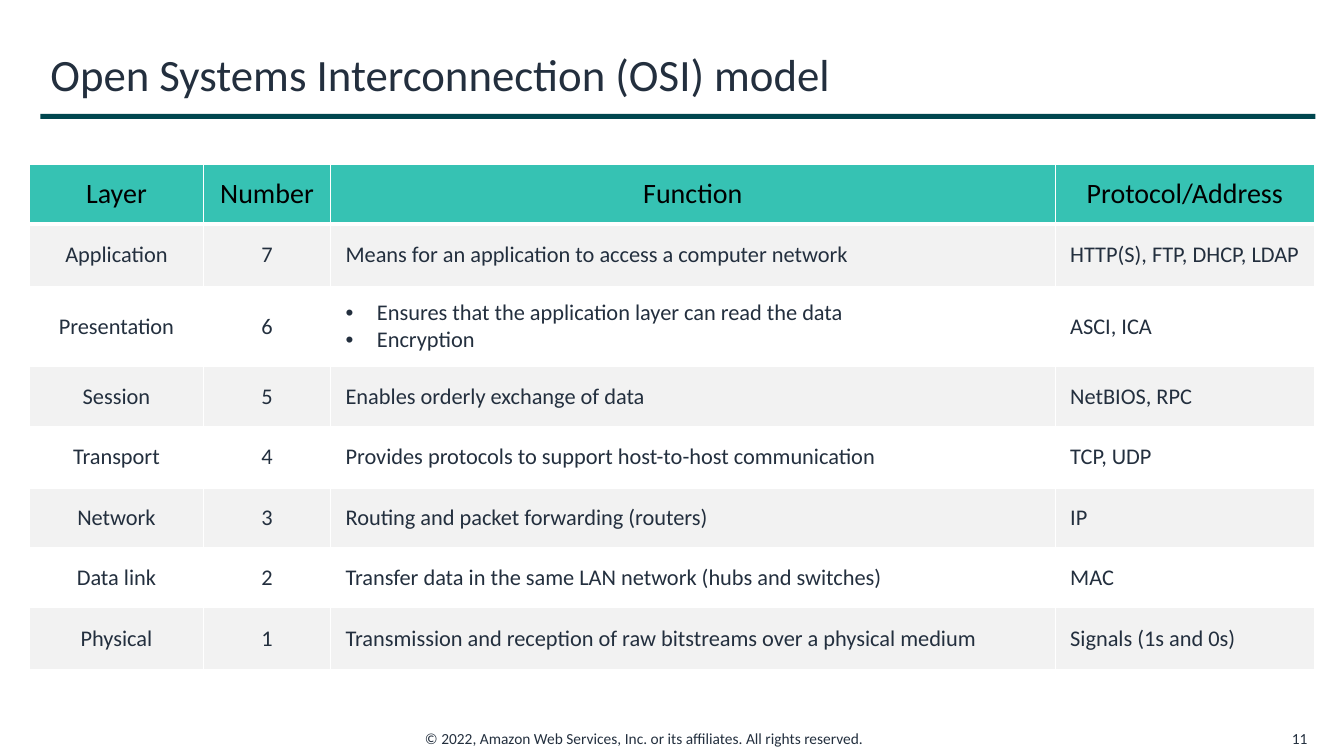
import lxml.etree
import pptx
import pptx.dml.color
import pptx.enum.shapes
import pptx.enum.text
import pptx.oxml.ns
import pptx.util

Cm = pptx.util.Cm
ALIGN = pptx.enum.text.PP_ALIGN
MIDDLE = pptx.enum.text.MSO_ANCHOR.MIDDLE
COLORS = {
    "ink": "232F3E",
    "rule": "00464F",
    "header": "36C2B3",
    "header_text": "000000",
    "band": "F2F2F2",
    "white": "FFFFFF",
}
COLUMN_WIDTHS = [4.39, 3.2, 18.26, 6.54]
ROW_HEIGHTS = [1.5, 1.57, 2.03, 1.5, 1.57, 1.5, 1.5, 1.57]
LAYERS = [
    ["Layer", "Number", "Function", "Protocol/Address"],
    ["Application", "7", "Means for an application to access a computer network",
     "HTTP(S), FTP, DHCP, LDAP"],
    ["Presentation", "6",
     ["Ensures that the application layer can read the data", "Encryption"], "ASCI, ICA"],
    ["Session", "5", "Enables orderly exchange of data", "NetBIOS, RPC"],
    ["Transport", "4", "Provides protocols to support host-to-host communication", "TCP, UDP"],
    ["Network", "3", "Routing and packet forwarding (routers)", "IP"],
    ["Data link", "2", "Transfer data in the same LAN network (hubs and switches)", "MAC"],
    ["Physical", "1", "Transmission and reception of raw bitstreams over a physical medium",
     "Signals (1s and 0s)"],
]


def rgb(color):
    return pptx.dml.color.RGBColor.from_string(COLORS[color])


def add_element(parent, tag, **attributes):
    return lxml.etree.SubElement(parent, pptx.oxml.ns.qn(tag), attributes)


def write_text(frame, text, size=16, color="ink", font="Calibri", align=ALIGN.LEFT):
    bulleted = isinstance(text, list)
    for index, line in enumerate(text if bulleted else [text]):
        para = frame.add_paragraph() if index else frame.paragraphs[0]
        para.alignment = align
        if bulleted:
            properties = para._p.get_or_add_pPr()
            properties.set("marL", str(Cm(0.79)))
            properties.set("indent", str(-Cm(0.79)))
            add_element(properties, "a:buFont", typeface="Arial")
            add_element(properties, "a:buChar", char="•")
        span = para.add_run()
        span.text = line
        span.font.name = font
        span.font.size = pptx.util.Pt(size)
        span.font.color.rgb = rgb(color)


class SlideBuilder:
    def __init__(self, page):
        self.page = page

    def text(self, text, left, top, width, height, anchor=MIDDLE, **style):
        box = self.page.shapes.add_textbox(Cm(left), Cm(top), Cm(width), Cm(height))
        box.text_frame.word_wrap = True
        box.text_frame.vertical_anchor = anchor
        write_text(box.text_frame, text, **style)

    def bar(self, left, top, width, height, color):
        shape = self.page.shapes.add_shape(
            pptx.enum.shapes.MSO_SHAPE.RECTANGLE, Cm(left), Cm(top), Cm(width), Cm(height))
        shape.shadow.inherit = False
        shape.fill.solid()
        shape.fill.fore_color.rgb = rgb(color)
        shape.line.fill.background()

    def borders(self, cell, **widths):
        properties = cell._tc.get_or_add_tcPr()
        for side, width in widths.items():
            line = add_element(properties, f"a:ln{side}", w=str(pptx.util.Pt(width)))
            fill = add_element(line, "a:solidFill")
            add_element(fill, "a:srgbClr", val=COLORS["white"])

    def cell(self, cell, text, row, column):
        heading = row == 0
        self.borders(cell, L=1, R=1, T=3 if row == 1 else 1, B=3 if heading else 1)
        cell.fill.solid()
        cell.fill.fore_color.rgb = rgb("header" if heading else "band" if row % 2 else "white")
        cell.margin_left = cell.margin_right = Cm(0.38)
        cell.margin_top = cell.margin_bottom = Cm(0.2)
        cell.vertical_anchor = MIDDLE
        write_text(
            cell.text_frame, text,
            size=20 if heading else 16,
            color="header_text" if heading else "ink",
            align=ALIGN.CENTER if heading or column < 2 else ALIGN.LEFT)

    def table(self, rows, left, top, widths, heights):
        table = self.page.shapes.add_table(
            len(rows), len(widths), Cm(left), Cm(top),
            Cm(sum(widths)), Cm(sum(heights))).table
        for column, width in zip(table.columns, widths):
            column.width = Cm(width)
        for row, height in zip(table.rows, heights):
            row.height = Cm(height)
        for row, values in enumerate(rows):
            for column, value in enumerate(values):
                self.cell(table.cell(row, column), value, row, column)


def main():
    deck = pptx.Presentation()
    deck.slide_width = Cm(33.87)
    deck.slide_height = Cm(19.05)
    builder = SlideBuilder(deck.slides.add_slide(deck.slide_layouts[6]))
    builder.text(
        "© 2022, Amazon Web Services, Inc. or its affiliates. All rights reserved.",
        10.46, 18.24, 12.93, 0.74, anchor=pptx.enum.text.MSO_ANCHOR.TOP, size=11)
    builder.bar(1.02, 2.87, 32.13, 0.13, "rule")
    builder.text("11", 31.85, 18.24, 1.35, 0.74, size=11, align=ALIGN.RIGHT)
    builder.text("Open Systems Interconnection (OSI) model", 1.02, 0.84, 32.13, 2.03, size=32)
    builder.table(LAYERS, 0.74, 4.14, COLUMN_WIDTHS, ROW_HEIGHTS)
    deck.save("out.pptx")


if __name__ == "__main__":
    main()
